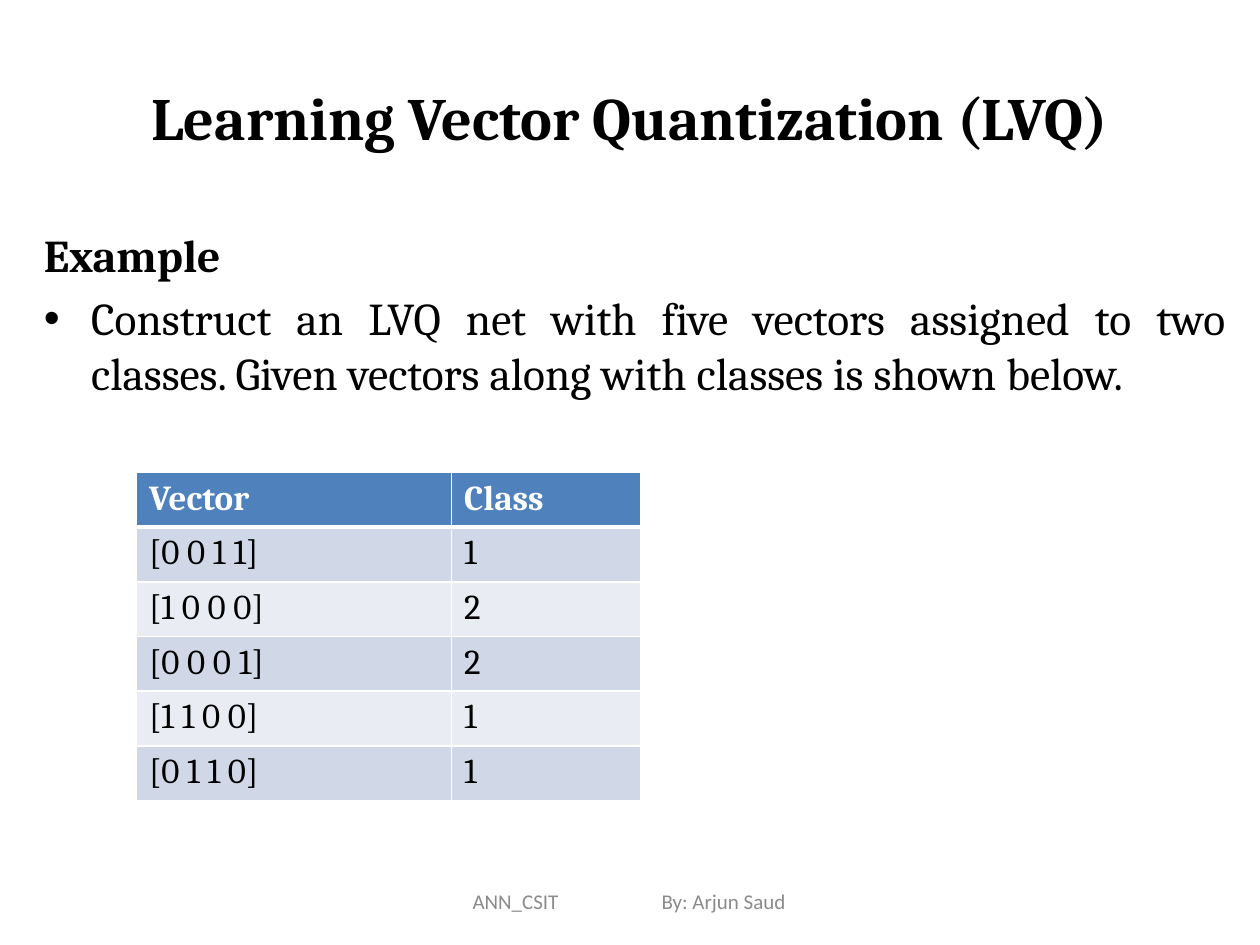
import dataclasses
import typing

import lxml.etree
import pptx
import pptx.dml.color
import pptx.enum.text
import pptx.oxml.ns
import pptx.util

Pt = pptx.util.Pt
ALIGN = pptx.enum.text.PP_ALIGN
ANCHOR = pptx.enum.text.MSO_ANCHOR


@dataclasses.dataclass(frozen=True)
class Theme:
    serif: str = "Cambria"
    sans: str = "Calibri"
    black: str = "000000"
    white: str = "FFFFFF"
    gray: str = "8B8B8B"
    header: str = "4F81BD"
    bands: tuple[str, str] = ("D0D8E7", "E9ECF3")
    title: float = 34.3
    body: float = 26
    cell: float = 20
    footer: float = 12


THEME = Theme()


@dataclasses.dataclass(frozen=True)
class Para:
    text: str
    size: float
    bold: bool = False
    color: str = THEME.black
    font: str = THEME.serif
    align: ALIGN = ALIGN.LEFT
    before: float = 0
    hanging: float = 0
    bullet: str = ""
    tab: float = 0


@dataclasses.dataclass(frozen=True)
class Box:
    left: float
    top: float
    width: float
    height: float
    paras: tuple[Para, ...]
    anchor: ANCHOR = ANCHOR.TOP
    inset: float = 7.2


def rgb(color: str) -> pptx.dml.color.RGBColor:
    return pptx.dml.color.RGBColor.from_string(color)


def add_node(parent: typing.Any, tag: str, **attrs: str) -> typing.Any:
    node = lxml.etree.SubElement(parent, pptx.oxml.ns.qn(tag))
    for name, value in attrs.items():
        node.set(name, value)
    return node


def write_para(p: typing.Any, para: Para) -> None:
    p.alignment = para.align
    p.space_before = Pt(para.before)
    pPr = p._p.get_or_add_pPr()
    if para.hanging:
        pPr.set("marL", str(Pt(para.hanging)))
        pPr.set("indent", str(-Pt(para.hanging)))
    if para.bullet:
        add_node(pPr, "a:buFont", typeface="Arial")
        add_node(pPr, "a:buChar", char=para.bullet)
    if para.tab:
        add_node(add_node(pPr, "a:tabLst"), "a:tab", pos=str(Pt(para.tab)), algn="l")
    r = p.add_run()
    r.text = para.text
    formats = {"name": para.font, "size": Pt(para.size), "bold": para.bold}
    for name, value in formats.items():
        setattr(r.font, name, value)
    r.font.color.rgb = rgb(para.color)


def add_box(s: typing.Any, box: Box) -> None:
    sp = s.shapes.add_textbox(Pt(box.left), Pt(box.top), Pt(box.width), Pt(box.height))
    tf = sp.text_frame
    formats = {"word_wrap": True, "vertical_anchor": box.anchor, "margin_left": Pt(box.inset)}
    for name, value in formats.items():
        setattr(tf, name, value)
    for i, para in enumerate(box.paras):
        write_para(tf.add_paragraph() if i else tf.paragraphs[0], para)


def add_borders(cell: typing.Any, bottom: float) -> None:
    tcPr = cell._tc.get_or_add_tcPr()
    for side, width in {"L": 0.96, "R": 0.96, "T": 0.96, "B": bottom}.items():
        ln = add_node(tcPr, f"a:ln{side}", w=str(Pt(width)))
        add_node(add_node(ln, "a:solidFill"), "a:srgbClr", val=THEME.white)


def add_vector_table(s: typing.Any, rows: list[tuple[str, str]], left: float, top: float,
                     widths: tuple[float, ...], row_height: float) -> None:
    table = s.shapes.add_table(len(rows), len(widths), Pt(left), Pt(top),
                               Pt(sum(widths)), Pt(row_height * len(rows))).table
    for column, width in zip(table.columns, widths):
        column.width = Pt(width)
    for i, row in enumerate(rows):
        is_header = i == 0
        fill = THEME.header if is_header else THEME.bands[(i - 1) % 2]
        color = THEME.white if is_header else THEME.black
        for j, text in enumerate(row):
            cell = table.cell(i, j)
            add_borders(cell, 3 if is_header else 0.96)
            cell.fill.solid()
            cell.fill.fore_color.rgb = rgb(fill)
            write_para(cell.text_frame.paragraphs[0], Para(text, THEME.cell, is_header, color))


BOXES = [
    Box(36, 21.6, 648, 90, (
        Para("Learning Vector Quantization (LVQ)", THEME.title, True, align=ALIGN.CENTER),
    ), ANCHOR.MIDDLE),
    Box(18, 126, 690, 356.4, (
        Para("Example", THEME.body, True, align=ALIGN.JUSTIFY, before=5.2, hanging=27),
        Para("Construct an LVQ net with five vectors assigned to two classes. "
             "Given vectors along with classes is shown below.",
             THEME.body, align=ALIGN.JUSTIFY, before=5.2, hanging=27, bullet="•"),
    )),
    Box(246, 500.4, 228, 28.8, (
        Para("ANN_CSIT\tBy: Arjun Saud", THEME.footer, color=THEME.gray, font=THEME.sans, tab=108),
    ), ANCHOR.MIDDLE, inset=24),
]

VECTORS = [
    ("Vector", "Class"),
    ("[0 0 1 1]", "1"),
    ("[1 0 0 0]", "2"),
    ("[0 0 0 1]", "2"),
    ("[1 1 0 0]", "1"),
    ("[0 1 1 0]", "1"),
]


def main() -> None:
    prs = pptx.Presentation()
    prs.slide_width, prs.slide_height = Pt(720), Pt(540)
    s = prs.slides.add_slide(prs.slide_layouts[6])
    for box in BOXES:
        add_box(s, box)
    add_vector_table(s, VECTORS, 78, 270, (180, 108), 30.4)
    prs.save("out.pptx")


if __name__ == "__main__":
    main()
